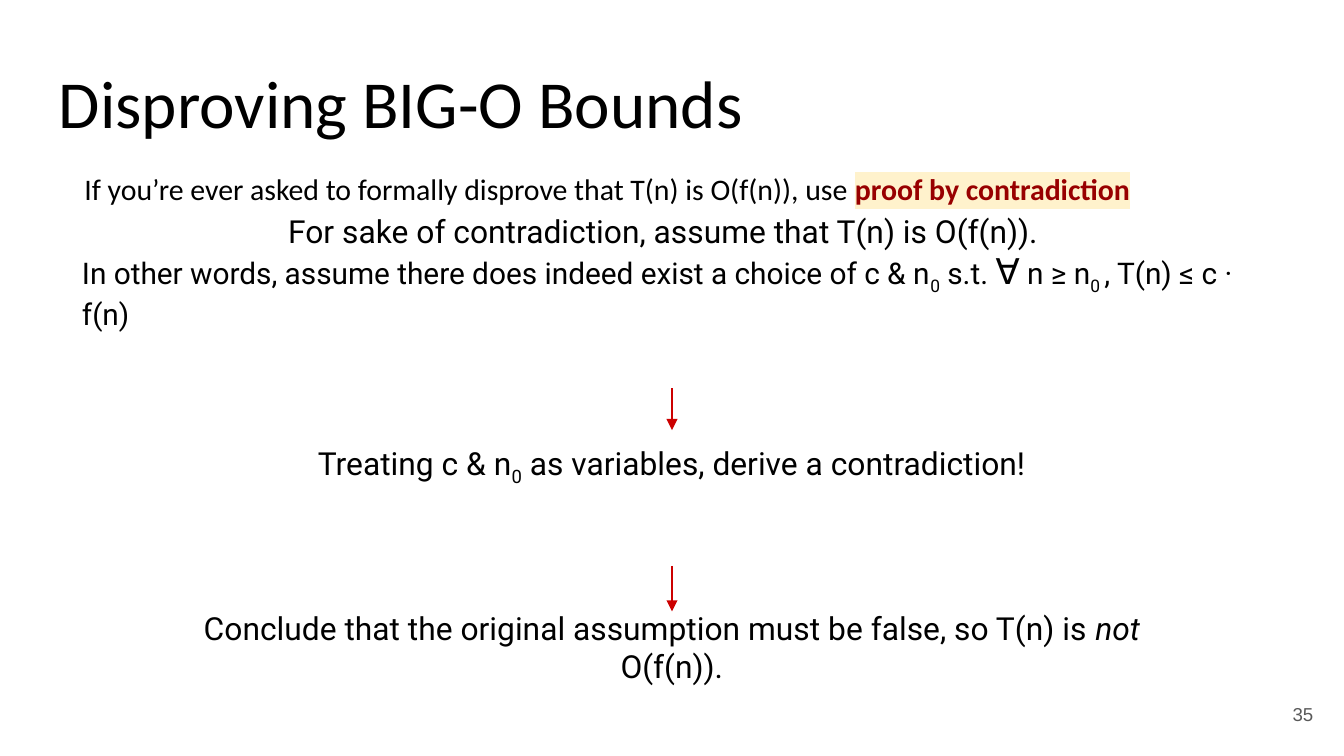
import pptx
import pptx.util
import pptx.dml.color
import pptx.enum.shapes
import pptx.enum.text
import pptx.oxml
import pptx.oxml.ns
from pptx.util import Inches

COLORS = {
    "text": "000000",
    "paper": "FFFFFF",
    "emphasis": "980000",
    "highlight": "FFF2CC",
    "arrow": "CC0000",
    "number": "595959",
}
ALIGN = pptx.enum.text.PP_ALIGN
ANCHOR = pptx.enum.text.MSO_ANCHOR
NS = pptx.oxml.ns.nsdecls("a")


def rgb(name):
    return pptx.dml.color.RGBColor.from_string(COLORS[name])


def write(box, paragraphs, size, font, color="text", inset=0.1, anchor=ANCHOR.MIDDLE):
    frame = box.text_frame
    frame.word_wrap = True
    frame.vertical_anchor = anchor
    frame.margin_left = frame.margin_right = Inches(inset)
    frame.margin_top = frame.margin_bottom = Inches(inset)
    for index, (align, pieces) in enumerate(paragraphs):
        paragraph = frame.add_paragraph() if index else frame.paragraphs[0]
        paragraph.alignment = align
        paragraph.font.size = pptx.util.Pt(size)
        paragraph.font.name = font
        paragraph.font.color.rgb = rgb(color)
        for text, style in pieces:
            run = paragraph.add_run()
            run.text = text
            if style == "sub":
                run.font._element.set("baseline", "-25000")
            elif style == "italic":
                run.font.italic = True
            elif style == "marked":
                run.font.bold = True
                run.font.color.rgb = rgb("emphasis")
                run.font._element.append(pptx.oxml.parse_xml(
                    f'<a:highlight {NS}><a:srgbClr val="{COLORS["highlight"]}"/></a:highlight>'))
            elif style:
                run.font.size = pptx.util.Pt(style)


deck = pptx.Presentation()
deck.slide_width = Inches(10)
deck.slide_height = Inches(10 * 9 / 16)
slide = deck.slides.add_slide(deck.slide_layouts[6])
shapes = slide.shapes

title = shapes.add_textbox(Inches(0.34), Inches(0.4), Inches(9.32), Inches(0.71))
title.line.color.rgb = rgb("paper")
title.line.width = pptx.util.Pt(2.25)
write(title, [(ALIGN.LEFT, [("Disproving BIG-O Bounds", None)])], 36, "Calibri")

intro = shapes.add_textbox(Inches(0.53), Inches(1.13), Inches(8.94), Inches(0.6))
write(intro, [(ALIGN.LEFT, [
    ("If you’re ever asked to formally disprove that T(n) is O(f(n)), use ", None),
    ("proof by contradiction", "marked"),
])], 16, "Calibri", anchor=ANCHOR.TOP)
intro.text_frame.paragraphs[0].line_spacing = 1.15

assumption = [
    (ALIGN.CENTER, [("For sake of contradiction, assume that T(n) is O(f(n)). ", 17)]),
    (ALIGN.LEFT, [
        ("In other words, assume there does indeed exist a choice of c & n", None),
        ("0", "sub"),
        (" s.t. ", None),
        ("∀", 19),
        (" n ≥ n", None),
        ("0 ", "sub"),
        (", T(n) ≤ c · f(n)", None),
    ]),
]
derivation = [(ALIGN.CENTER, [
    ("Treating c & n", None),
    ("0", "sub"),
    (" as variables, derive a contradiction!", None),
])]
conclusion = [(ALIGN.CENTER, [
    ("Conclude that the original assumption must be false, so T(n) is ", None),
    ("not", "italic"),
    (" O(f(n)).", None),
])]

steps = [
    (0.57, 1.61, 8.79, 0.82, assumption, 16, None),
    (1.17, 3.2, 7.66, 0.53, derivation, 17, 2.89),
    (1.17, 4.55, 7.66, 0.53, conclusion, 17, 4.21),
]
for left, top, width, height, paragraphs, size, arrow_top in steps:
    step = shapes.add_shape(
        pptx.enum.shapes.MSO_SHAPE.ROUNDED_RECTANGLE,
        Inches(left), Inches(top), Inches(width), Inches(height))
    step.shadow.inherit = False
    step.fill.solid()
    step.fill.fore_color.rgb = rgb("paper")
    step.line.fill.background()
    write(step, paragraphs, size, "Roboto", inset=0)
    if arrow_top:
        arrow = shapes.add_connector(
            pptx.enum.shapes.MSO_CONNECTOR.STRAIGHT,
            Inches(5), Inches(arrow_top), Inches(5), Inches(top))
        arrow.end_connect(step, 0)
        arrow.line.color.rgb = rgb("arrow")
        arrow.line.width = pptx.util.Pt(0.75)
        arrow.line._get_or_add_ln().append(
            pptx.oxml.parse_xml(f'<a:tailEnd {NS} type="triangle"/>'))
        arrow._element.spPr.append(pptx.oxml.parse_xml(f"<a:effectLst {NS}/>"))

page_number = shapes.add_textbox(Inches(9.27), Inches(5.1), Inches(0.6), Inches(0.43))
write(page_number, [(ALIGN.RIGHT, [("35", None)])], 10, "Arial", "number")

deck.save("out.pptx")
